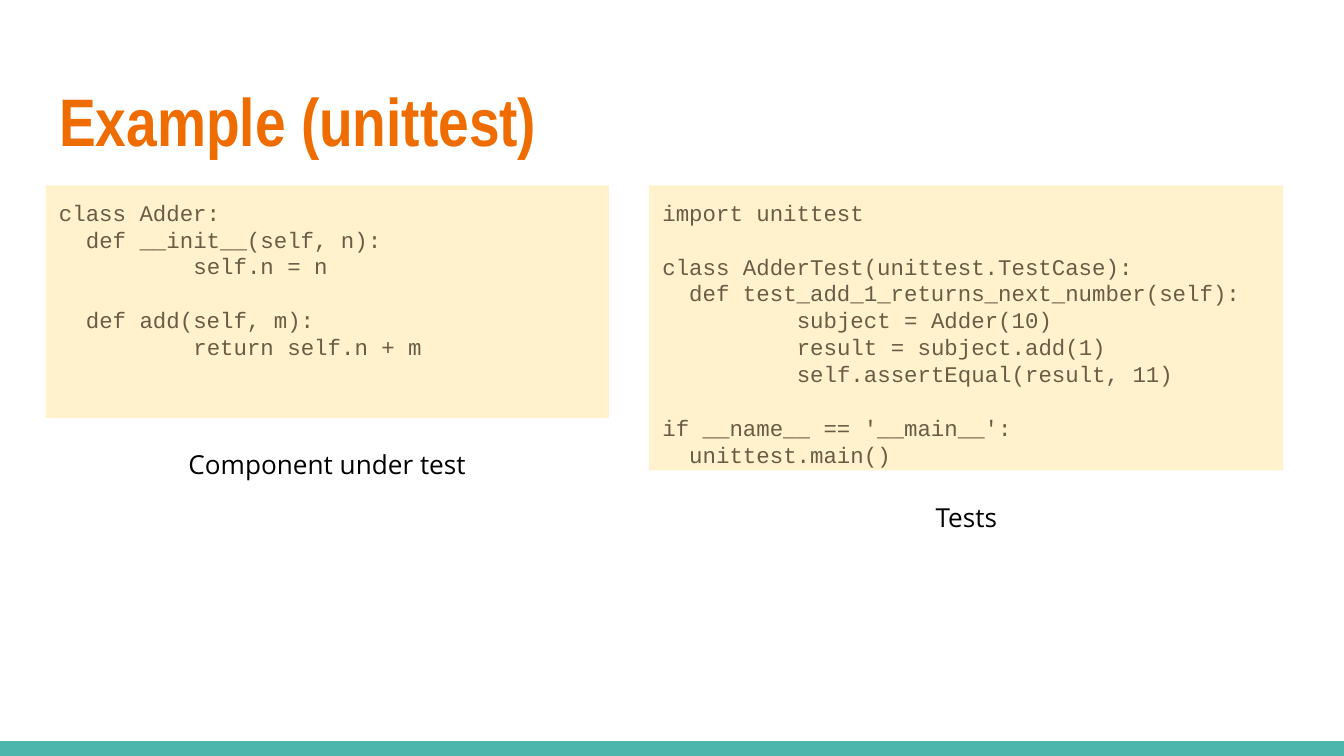
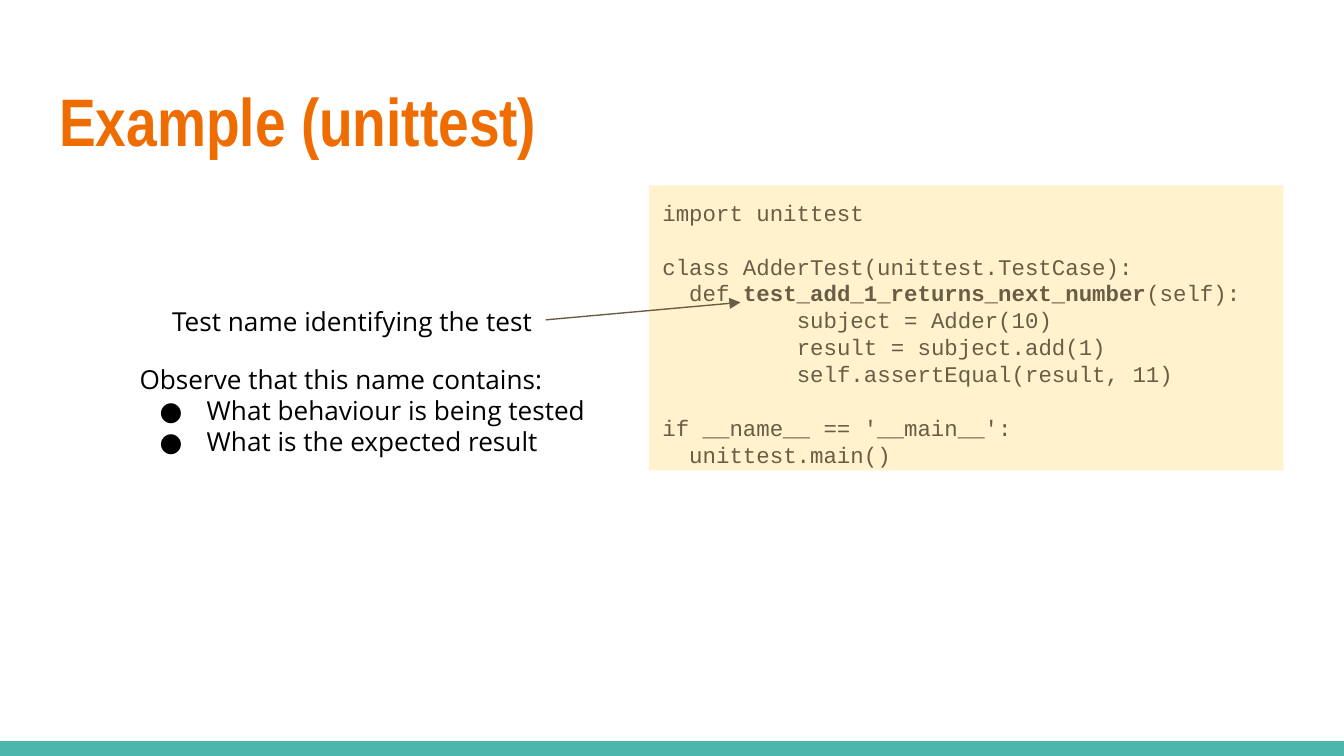
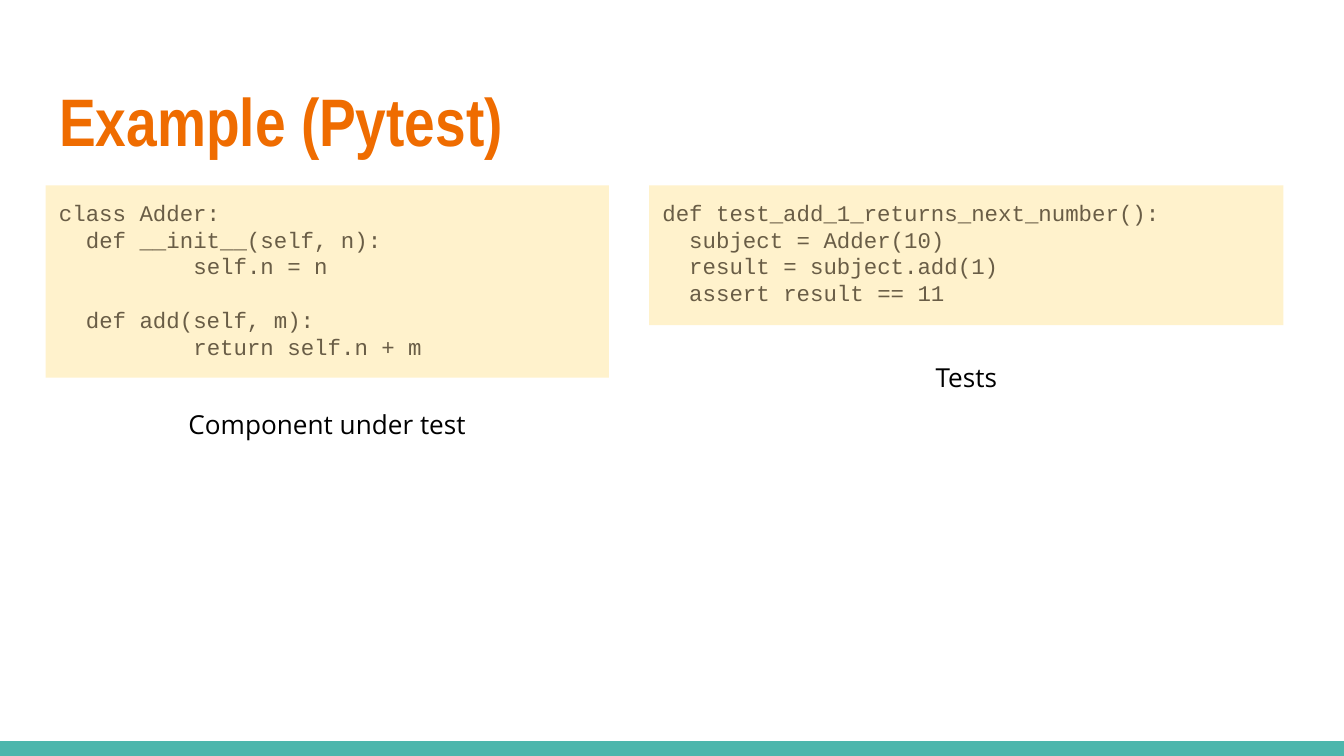
"""Builds three slides that compare a unittest example with its Pytest version."""
from lxml import etree
from pptx import Presentation, util as u
from pptx.dml.color import RGBColor
from pptx.enum import shapes, text
from pptx.oxml import ns

ORANGE = RGBColor(0xEF, 0x6C, 0x00)
TEAL = RGBColor(0x4D, 0xB6, 0xAC)
CREAM = RGBColor(0xFF, 0xF2, 0xCC)
BROWN = RGBColor(0x69, 0x5D, 0x46)
BLACK = RGBColor(0, 0, 0)

W = 10
H = W * 9 / 16
MARGIN, TOP, BAND = 0.34, 1.38, 0.11
COLS = [(MARGIN, 4.19), (4.83, 4.72)]
CAPTION_W, CAPTION_H = 2.44, 0.44
INSET, CHAR, LEADING = 0.1, 0.1, 1.2
LEFT, CENTER, RIGHT = text.PP_ALIGN.LEFT, text.PP_ALIGN.CENTER, text.PP_ALIGN.RIGHT

ADDER = """class Adder:
  def __init__(self, n):
          self.n = n

  def add(self, m):
          return self.n + m"""
UNITTEST = """import unittest

class AdderTest(unittest.TestCase):
  def test_add_1_returns_next_number(self):
          subject = Adder(10)
          result = subject.add(1)
          self.assertEqual(result, 11)

if __name__ == '__main__':
  unittest.main()"""
NAME = "test_add_1_returns_next_number"
UNITTEST_BOLD = UNITTEST.replace(NAME, f"**{NAME}**")
PYTEST = """def test_add_1_returns_next_number():
  subject = Adder(10)
  result = subject.add(1)
  assert result == 11"""
OBSERVE = """Observe that this name contains:
- What behaviour is being tested
- What is the expected result"""

SLIDES = [
    ("Example (unittest)", [(0, 1.73, 0.13, ADDER, "Component under test"),
                            (1, 2.12, 0.13, UNITTEST, "Tests")]),
    ("Example (unittest)", [(1, 2.12, 0.13, UNITTEST_BOLD, None)]),
    ("Example (Pytest)", [(0, 1.43, 0.13, ADDER, "Component under test"),
                          (1, 1.04, 0.17, PYTEST, "Tests")]),
]


def write(tf, s, size=14, font="Open Sans", color=BLACK, bold=False, align=LEFT):
    tf.word_wrap = True
    tf.auto_size = text.MSO_AUTO_SIZE.NONE
    tf.vertical_anchor = text.MSO_ANCHOR.TOP
    tf.margin_left = tf.margin_right = tf.margin_top = tf.margin_bottom = u.Inches(INSET)
    p, gap = tf.paragraphs[0], 0
    for i, line in enumerate(s.split("\n")):
        if not line:
            gap = size * LEADING
            continue
        p = tf.add_paragraph() if i else p
        p.alignment = align
        p.line_spacing = u.Pt(size * LEADING)
        p.space_before, gap = u.Pt(gap), 0
        body = line.lstrip()
        pPr = p._p.get_or_add_pPr()
        pPr.set("marL", str(u.Inches(CHAR * (len(line) - len(body)))))
        pPr.set("indent", "0")
        if body.startswith("- "):
            body = body[2:]
            pPr.set("marL", str(u.Inches(0.5)))
            pPr.set("indent", str(u.Inches(-0.35)))
            etree.SubElement(pPr, ns.qn("a:buFont")).set("typeface", font)
            etree.SubElement(pPr, ns.qn("a:buChar")).set("char", "●")
        for n, part in enumerate(body.split("**")):
            r = p.add_run()
            r.text = part
            r.font.size, r.font.name = u.Pt(size), font
            r.font.bold = bold or n % 2 == 1
            r.font.color.rgb = color


def add_text(sl, x, y, w, h, s, fill=None, **fmt):
    sp = sl.shapes.add_textbox(*map(u.Inches, (x, y, w, h)))
    if fill is not None:
        sp.fill.solid()
        sp.fill.fore_color.rgb = fill
    write(sp.text_frame, s, **fmt)


prs = Presentation()
prs.slide_width, prs.slide_height = u.Inches(W), u.Inches(H)

for title, blocks in SLIDES:
    sl = prs.slides.add_slide(prs.slide_layouts[5])
    sp = sl.shapes.title
    sp.left, sp.top = u.Inches(MARGIN), u.Inches(0.49)
    sp.width, sp.height = u.Inches(W - 2 * MARGIN), u.Inches(0.77)
    write(sp.text_frame, title, size=36, font="Arial Narrow", color=ORANGE, bold=True)
    for col, h, gap, code, caption in blocks:
        x, w = COLS[col]
        add_text(sl, x, TOP, w, h, code, fill=CREAM, size=12, font="Courier New", color=BROWN)
        if caption:
            add_text(sl, x + (w - CAPTION_W) / 2, TOP + h + gap, CAPTION_W, CAPTION_H,
                     caption, align=CENTER)

sl = prs.slides[1]
add_text(sl, MARGIN, 2.17, 3.72, CAPTION_H, "Test name identifying the test", align=RIGHT)
arrow = sl.shapes.add_connector(shapes.MSO_CONNECTOR.STRAIGHT,
                                *map(u.Inches, (MARGIN + 3.72, 2.38, 5.51, 2.25)))
arrow.line.color.rgb = BROWN
arrow.line.width = u.Pt(0.75)
etree.SubElement(arrow.line._get_or_add_ln(), ns.qn("a:tailEnd")).set("type", "triangle")
etree.SubElement(arrow._element.spPr, ns.qn("a:effectLst"))
add_text(sl, 0.94, 2.6, 3.56, 0.91, OBSERVE)

band = sl.shapes.add_shape(shapes.MSO_SHAPE.RECTANGLE,
                           *map(u.Inches, (0, H - BAND, W, BAND)))
band.shadow.inherit = False
band.fill.solid()
band.fill.fore_color.rgb = TEAL
band.line.fill.background()
prs.slide_master.shapes._spTree.append(band._element)

prs.save("out.pptx")
